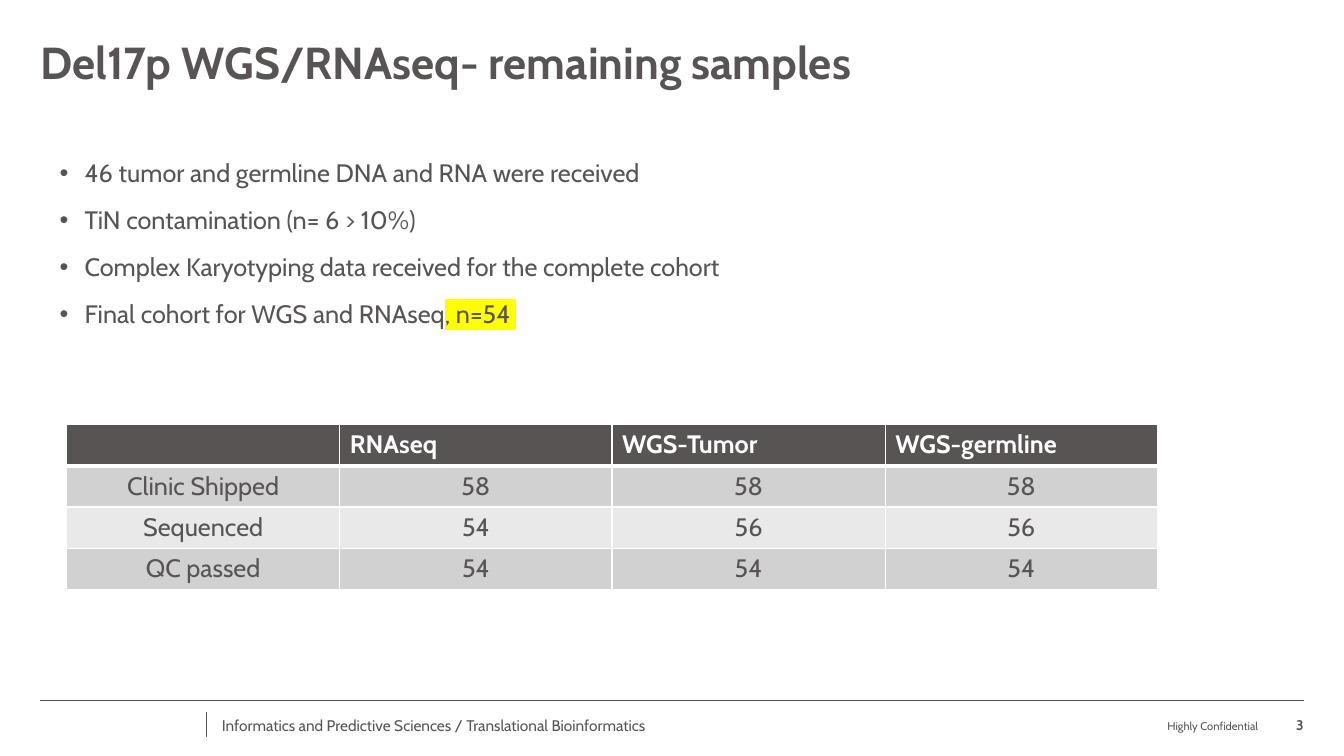
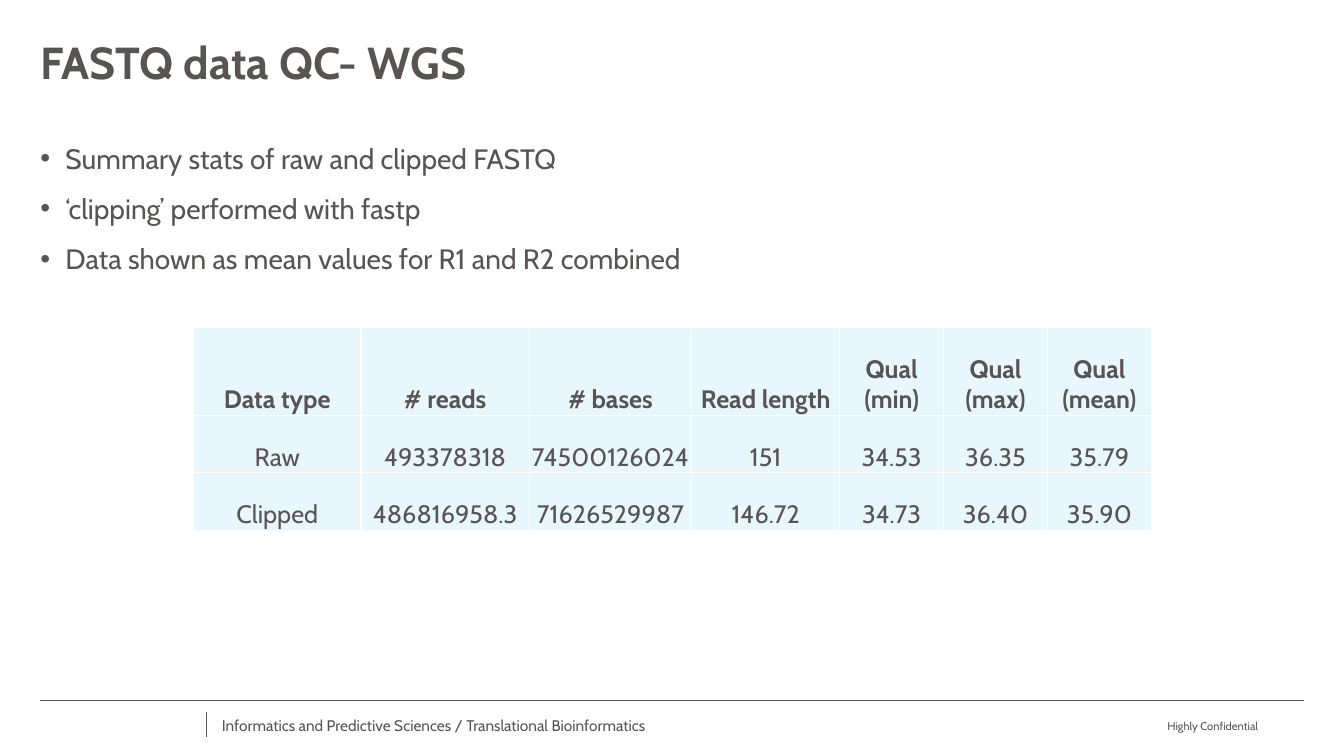
from lxml import etree
from pptx import Presentation
from pptx import util as u
from pptx.dml import color
from pptx.enum import shapes, text
from pptx.oxml import ns

PX = 9144  # EMU; 100 px to the inch
TITLE_ONLY = 5
LEFT, CENTER, RIGHT = text.PP_ALIGN.LEFT, text.PP_ALIGN.CENTER, text.PP_ALIGN.RIGHT
TOP, MIDDLE, BOTTOM = text.MSO_ANCHOR.TOP, text.MSO_ANCHOR.MIDDLE, text.MSO_ANCHOR.BOTTOM


def px(*lengths):
    return [u.Emu(length * PX) for length in lengths]


def rgb(value):
    return color.RGBColor.from_string(value)


def add_color(parent, tag, value):
    """Append a colour-holding element such as a:solidFill and return it."""
    holder = etree.SubElement(parent, ns.qn(tag))
    etree.SubElement(holder, ns.qn("a:srgbClr"), val=str(rgb(value)))
    return holder


class Deck:
    """Holds the shared style and the slide being built."""

    FONT = "Cabin"
    INK = "595454"
    PAPER = "FFFFFF"
    MARKER = "FFFF00"

    def __init__(self):
        self.presentation = Presentation()
        self.presentation.slide_width, self.presentation.slide_height = px(1333, 750)
        self.slide = None

    def add_slide(self, title, number=None):
        layout = self.presentation.slide_layouts[TITLE_ONLY]
        self.slide = self.presentation.slides.add_slide(layout)
        self.title(title)
        self.footer(number)

    def title(self, wording):
        shape = self.slide.shapes.title
        shape.left, shape.top, shape.width, shape.height = px(40, 40, 1253, 100)
        shape.text_frame.text = wording
        self.set_frame(shape.text_frame, TOP)
        paragraph = shape.text_frame.paragraphs[0]
        paragraph.line_spacing = 0.9
        self.format(paragraph, 32, bold=True)

    def footer(self, number):
        self.line(40, 695, 1293, 695)
        self.line(205, 706, 205, 731)
        self.label("Informatics and Predictive Sciences / Translational Bioinformatics",
                   (220, 707, 450, 25), 11, anchor=MIDDLE)
        self.label("Highly Confidential", (897, 703, 351, 24), 8, RIGHT)
        if number:
            self.label(number, (1258, 703, 35, 25), 10, RIGHT, bold=True)

    def line(self, *ends):
        connector = self.slide.shapes.add_connector(
            shapes.MSO_CONNECTOR.STRAIGHT, *px(*ends))
        connector.line.color.rgb = rgb(self.INK)
        connector.line.width = u.Pt(0.5)
        properties = connector._element.spPr
        etree.SubElement(properties, ns.qn("a:effectLst"))

    def text_box(self, box, anchor):
        frame = self.slide.shapes.add_textbox(*px(*box)).text_frame
        self.set_frame(frame, anchor)
        return frame

    def label(self, wording, box, size, align=LEFT, anchor=BOTTOM, bold=False):
        frame = self.text_box(box, anchor)
        frame.text = wording
        self.format(frame.paragraphs[0], size, align, bold)

    def bullets(self, items, box, size):
        frame = self.text_box(box, TOP)
        frame.text = "\n".join(items)
        for paragraph in frame.paragraphs:
            paragraph.space_before = u.Pt(12)
            self.format(paragraph, size)
            properties = paragraph._p.get_or_add_pPr()
            indent, = px(25)
            properties.set("marL", str(indent))
            properties.set("indent", str(-indent))
            etree.SubElement(properties, ns.qn("a:buFont"), typeface="Arial")
            etree.SubElement(properties, ns.qn("a:buChar"), char="•")
        return frame

    def highlighted_run(self, paragraph, wording, size):
        run = paragraph.add_run()
        run.text = wording
        self.format_run(run, size)
        properties = run._r.rPr
        highlight = add_color(properties, "a:highlight", self.MARKER)
        properties.find(ns.qn("a:solidFill")).addnext(highlight)

    def table(self, rows, origin, widths, heights, fills, header_ink=INK,
              header_align=CENTER, header_rule=1, anchor=TOP, margins=(10, 5, 10, 5)):
        """Draw rows, the first being the header, with one fill for each row."""
        frame = self.slide.shapes.add_table(
            len(rows), len(widths), *px(*origin, sum(widths), sum(heights)))
        table = frame.table
        table.horz_banding = False
        for column, width in zip(table.columns, px(*widths)):
            column.width = width
        for row, height in zip(table.rows, px(*heights)):
            row.height = height
        for row_index, (values, fill) in enumerate(zip(rows, fills)):
            header = row_index == 0
            rules = {"L": 1, "R": 1,
                     "T": header_rule if row_index == 1 else 1,
                     "B": header_rule if header else 1}
            for column_index, value in enumerate(values):
                cell = table.cell(row_index, column_index)
                cell.text_frame.text = value
                cell.vertical_anchor = anchor
                (cell.margin_left, cell.margin_top,
                 cell.margin_right, cell.margin_bottom) = px(*margins)
                self.format(cell.text_frame.paragraphs[0], 18,
                            header_align if header else CENTER, header,
                            header_ink if header else self.INK)
                self.borders(cell, rules)
                cell.fill.solid()
                cell.fill.fore_color.rgb = rgb(fill)

    def borders(self, cell, rules):
        properties = cell._tc.get_or_add_tcPr()
        for side, width in rules.items():
            line = etree.SubElement(properties, ns.qn(f"a:ln{side}"), w=str(u.Pt(width)))
            add_color(line, "a:solidFill", self.PAPER)

    def set_frame(self, frame, anchor):
        frame.word_wrap = True
        frame.auto_size = text.MSO_AUTO_SIZE.NONE
        frame.vertical_anchor = anchor
        frame.margin_left = frame.margin_top = frame.margin_right = frame.margin_bottom = 0

    def format(self, paragraph, size, align=LEFT, bold=False, ink=INK):
        paragraph.alignment = align
        for run in paragraph.runs:
            self.format_run(run, size, bold, ink)

    def format_run(self, run, size, bold=False, ink=INK):
        run.font.name = self.FONT
        run.font.size = u.Pt(size)
        run.font.bold = bold
        run.font.color.rgb = rgb(ink)


def remaining_samples(deck):
    deck.add_slide("Del17p WGS/RNAseq- remaining samples", number="3")
    frame = deck.bullets([
        "46 tumor and germline DNA and RNA were received",
        "TiN contamination (n= 6 > 10%)",
        "Complex Karyotyping data received for the complete cohort",
        "Final cohort for WGS and RNAseq",
    ], (59, 156, 1145, 239), 18)
    deck.highlighted_run(frame.paragraphs[-1], ", n=54 ", 18)
    deck.table([
        ("", "RNAseq", "WGS-Tumor", "WGS-germline"),
        ("Clinic Shipped", "58", "58", "58"),
        ("Sequenced", "54", "56", "56"),
        ("QC passed", "54", "54", "54"),
    ], (66, 421), [271, 270] * 2, [41] * 4, [deck.INK, "D1D1D1", "EAE9E9", "D1D1D1"],
        header_ink=deck.PAPER, header_align=LEFT, header_rule=3)


def fastq_quality(deck):
    deck.add_slide("FASTQ data QC- WGS")
    deck.bullets([
        "Summary stats of raw and clipped FASTQ",
        "‘clipping’ performed with fastp",
        "Data shown as mean values for R1 and R2 combined",
    ], (40, 140, 1253, 500), 20)
    deck.table([
        ("Data type", "# reads", "# bases", "Read length",
         "Qual (min)", "Qual (max)", "Qual (mean)"),
        ("Raw", "493378318", "74500126024", "151", "34.53", "36.35", "35.79"),
        ("Clipped", "486816958.3", "71626529987", "146.72", "34.73", "36.40", "35.90"),
    ], (192, 325), [166, 167, 161, 147] + [103] * 3, [87, 57, 57], ["E8F7FC"] * 3,
        anchor=BOTTOM, margins=(1, 1, 1, 0))


def main():
    deck = Deck()
    remaining_samples(deck)
    fastq_quality(deck)
    deck.presentation.save("out.pptx")


if __name__ == "__main__":
    main()
